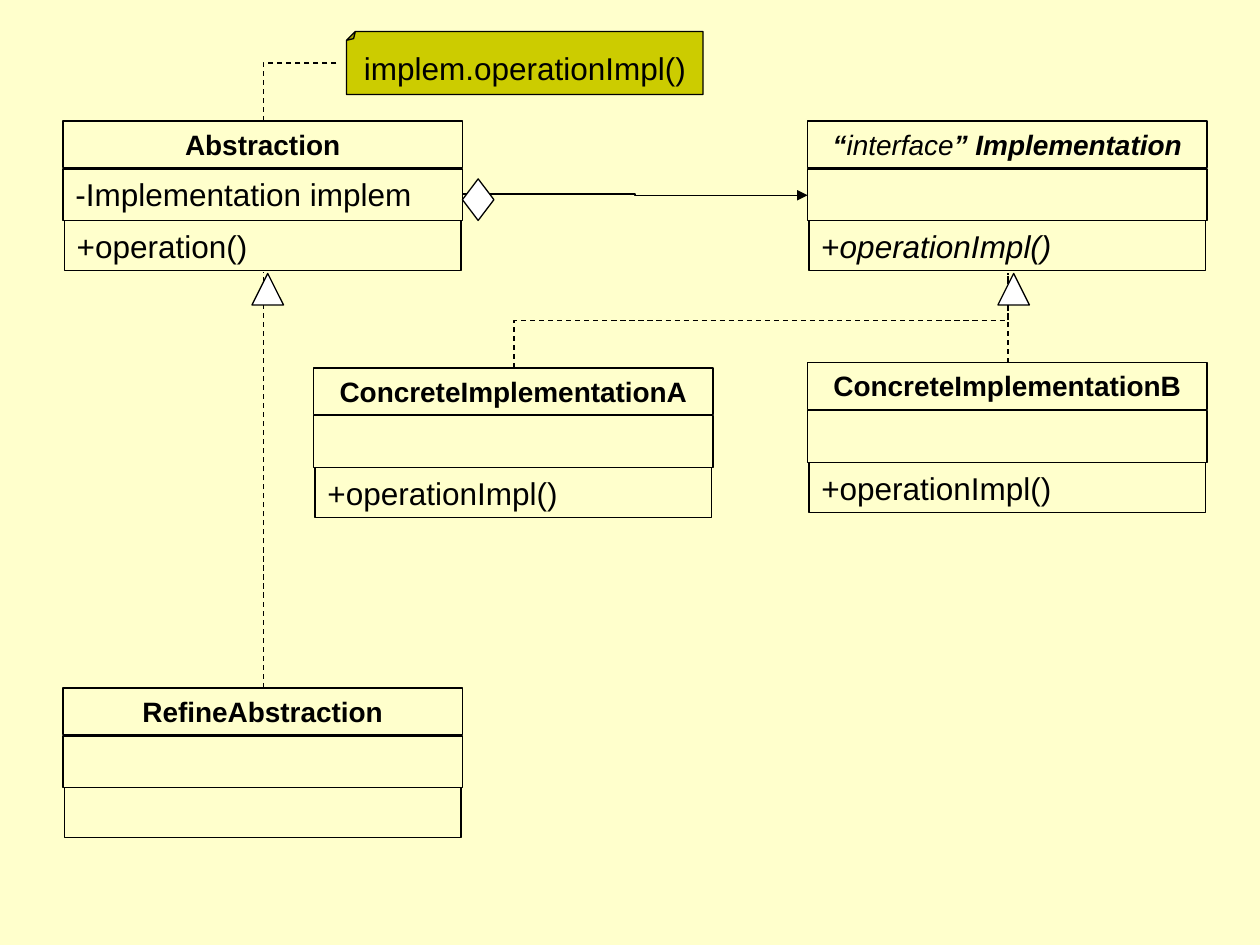
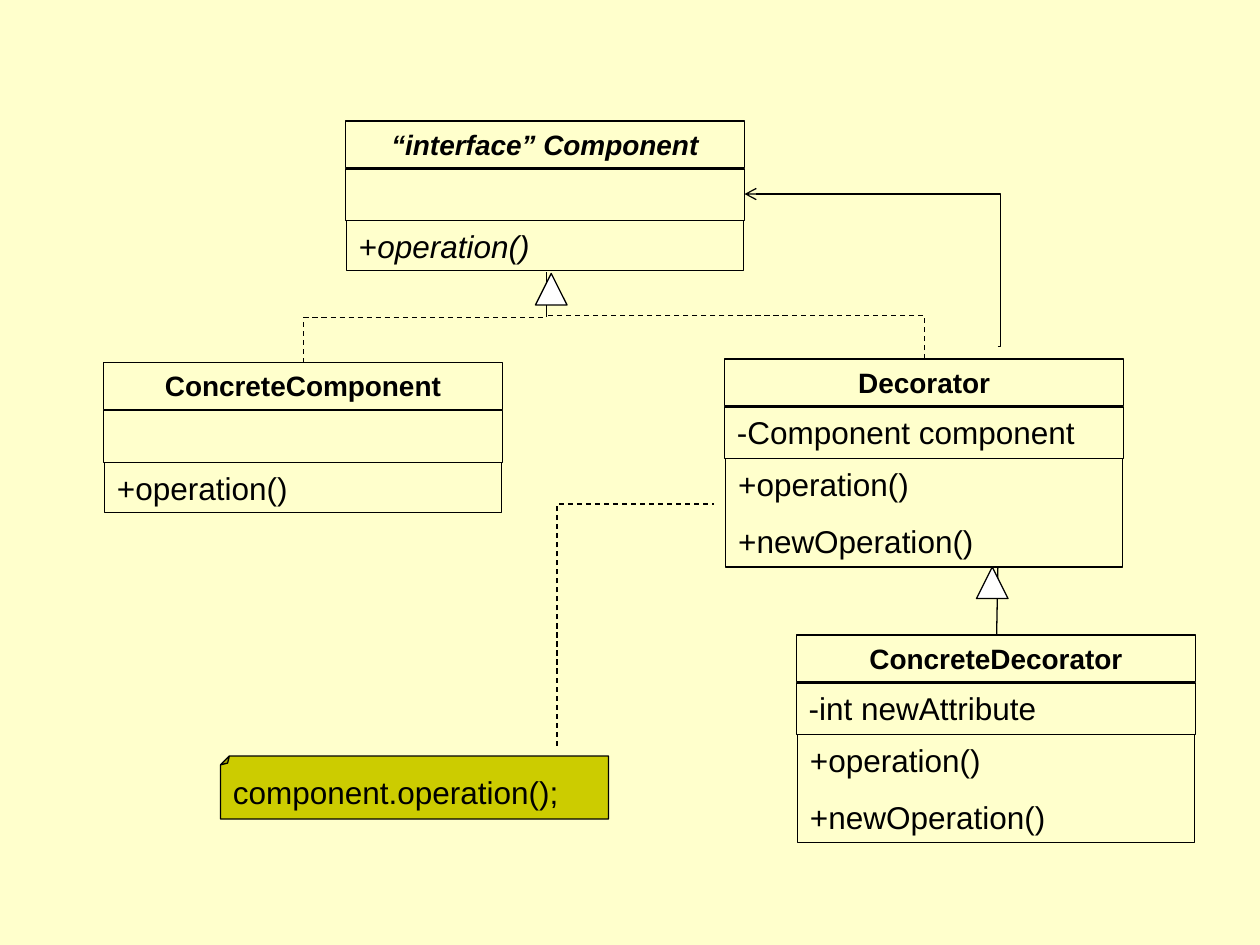
from lxml.etree import SubElement
from pptx import Presentation
from pptx.dml.color import RGBColor
from pptx.enum.dml import MSO_LINE
from pptx.enum.shapes import MSO_CONNECTOR, MSO_SHAPE
from pptx.enum.text import MSO_ANCHOR, MSO_AUTO_SIZE, PP_ALIGN
from pptx.oxml.ns import qn
from pptx.util import Inches, Pt

PAPER, INK, WHITE, NOTE = "FFFFCC", "000000", "FFFFFF", "CCCC00"
NAME_FONT = {"name": "Arial", "size": Pt(16), "bold": True}
MEMBER_FONT = {"name": "Arial", "size": Pt(18)}
HEAD_SIZE = 0.25


def rgb(value):
    """Turn a hex string into a colour."""
    return RGBColor.from_string(value)


def draw(slide, preset, left, top, width, height, fill=None):
    """Add a thinly outlined shape, hollow unless a fill is given."""
    shape = slide.shapes.add_shape(preset, *map(Inches, (left, top, width, height)))
    shape.shadow.inherit = False
    shape.line.color.rgb = rgb(INK)
    shape.line.width = Pt(0.75)
    if fill:
        shape.fill.solid()
        shape.fill.fore_color.rgb = rgb(fill)
    else:
        shape.fill.background()
    return shape


def set_guide(shape, guide, share):
    """Set one adjustment guide of a preset outline as a share of one."""
    guides = shape._element.spPr.find(qn("a:prstGeom")).get_or_add_avLst()
    SubElement(guides, qn("a:gd"), name=guide, fmla=f"val {round(share * 100000)}")


def write(shape, lines, font, align=PP_ALIGN.LEFT):
    """Write lines, each a string or a list of (text, extra format) runs."""
    frame = shape.text_frame
    for index, line in enumerate(lines):
        paragraph = frame.add_paragraph() if index else frame.paragraphs[0]
        paragraph.alignment = align
        paragraph.space_before = Pt(11.2 if index else 0)
        for text, extra in [(line, {})] if isinstance(line, str) else line:
            run = paragraph.add_run()
            run.text = text
            run.font.color.rgb = rgb(INK)
            for key, value in {**font, **extra}.items():
                setattr(run.font, key, value)


def class_box(slide, left, top, name, attributes=(), operations=()):
    """Draw a class as its name, attribute and operation compartments."""
    depth = 0.86 if len(operations) > 1 else 0.4
    compartments = [
        (0, 0, 3.17, 0.37, [name], NAME_FONT, PP_ALIGN.CENTER),
        (0, 0.38, 3.17, 0.41, attributes, MEMBER_FONT, PP_ALIGN.LEFT),
        (0.01, 0.79, 3.15, depth, operations, MEMBER_FONT, PP_ALIGN.LEFT),
    ]
    for dx, dy, width, height, lines, font, align in compartments:
        part = draw(slide, MSO_SHAPE.RECTANGLE, left + dx, top + dy, width, height)
        part.text_frame.vertical_anchor = MSO_ANCHOR.TOP
        if lines:
            write(part, lines, font, align)
            part.text_frame.auto_size = MSO_AUTO_SIZE.SHAPE_TO_FIT_TEXT


def note(slide, left, top, width, text, align):
    """Draw a note whose folded corner is at the top left."""
    sheet = draw(slide, MSO_SHAPE.FOLDED_CORNER, left, top, width, 0.5, NOTE)
    sheet.rotation = 180
    set_guide(sheet, "adj", 0.14)
    frame = sheet.text_frame
    frame.word_wrap = False
    frame.vertical_anchor = MSO_ANCHOR.MIDDLE
    frame._txBody.bodyPr.set("rot", str(180 * 60000))
    write(sheet, [text], MEMBER_FONT, align)


def link(slide, start, end, kind=MSO_CONNECTOR.STRAIGHT, dashed=False, head=None):
    """Join two points with a thin line."""
    line = slide.shapes.add_connector(kind, *map(Inches, (*start, *end)))
    line.line.color.rgb = rgb(INK)
    line.line.width = Pt(0.75)
    if dashed:
        line.line.dash_style = MSO_LINE.DASH
    if head:
        SubElement(line.line._get_or_add_ln(), qn("a:tailEnd"), type=head)
    SubElement(line._element.spPr, qn("a:effectLst"))
    return line


def elbow(slide, start, end, bend=0.5, upright=False, **style):
    """Join two points with a bent line; an upright one leaves vertically."""
    if upright:
        (x1, y1), (x2, y2) = start, end
        x, y, dx, dy = (x1 + x2) / 2, (y1 + y2) / 2, (x2 - x1) / 2, (y2 - y1) / 2
        start, end = (x - dy, y + dx), (x + dy, y - dx)
    line = link(slide, start, end, MSO_CONNECTOR.ELBOW, **style)
    if upright:
        line._element.spPr.find(qn("a:xfrm")).set("rot", str(90 * 60000))
    set_guide(line, "adj1", bend)


def inheritance_head(slide, left, top):
    """Draw the hollow triangle under a parent class."""
    draw(slide, MSO_SHAPE.ISOSCELES_TRIANGLE, left, top, HEAD_SIZE, HEAD_SIZE, WHITE)


def bridge_slide(slide):
    """Draw the class diagram of the bridge pattern."""
    italic = {"italic": True}
    interface = [("“", italic), ("interface", {"italic": True, "bold": False}),
                 ("” Implementation", italic)]
    class_box(slide, 0.5, 0.96, "Abstraction", ["-Implementation implem"], ["+operation()"])
    class_box(slide, 6.41, 0.96, interface, (), [[("+", {}), ("operationImpl()", italic)]])
    class_box(slide, 0.5, 5.46, "RefineAbstraction")
    class_box(slide, 2.49, 2.92, "ConcreteImplementationA", (), ["+operationImpl()"])
    class_box(slide, 6.41, 2.88, "ConcreteImplementationB", (), ["+operationImpl()"])
    elbow(slide, (4.08, 2.92), (8, 2.17), upright=True, dashed=True)
    link(slide, (8, 2.88), (8, 2.17), dashed=True)
    link(slide, (2.09, 5.46), (2.09, 2.16), dashed=True)
    elbow(slide, (3.67, 1.54), (6.41, 1.55), head="triangle")
    draw(slide, MSO_SHAPE.FLOWCHART_DECISION, 3.67, 1.42, 0.25, 0.33, WHITE)
    for left in (2, 7.92):
        inheritance_head(slide, left, 2.17)
    note(slide, 2.75, 0.25, 2.83, "implem.operationImpl()", PP_ALIGN.CENTER)
    elbow(slide, (2.67, 0.5), (2.09, 0.96), bend=1, dashed=True)


def decorator_slide(slide):
    """Draw the class diagram of the decorator pattern."""
    italic = {"italic": True}
    operations = ["+operation()", "+newOperation()"]
    class_box(slide, 2.74, 0.96, [("“interface” Component", italic)], (),
              [[("+", {}), ("operation()", italic)]])
    class_box(slide, 0.82, 2.88, "ConcreteComponent", (), operations[:1])
    class_box(slide, 5.75, 2.85, "Decorator", ["-Component component"], operations)
    class_box(slide, 6.32, 5.04, "ConcreteDecorator", ["-int newAttribute"], operations)
    for child in ((2.41, 2.88), (7.34, 2.85)):
        elbow(slide, child, (4.34, 2.16), upright=True, dashed=True)
    elbow(slide, (7.92, 2.75), (5.91, 1.54), bend=-0.01, head="arrow")
    link(slide, (7.91, 5.04), (7.92, 4.5))
    inheritance_head(slide, 4.25, 2.17)
    inheritance_head(slide, 7.75, 4.5)
    note(slide, 1.75, 6, 3.08, "component.operation();", PP_ALIGN.LEFT)
    elbow(slide, (4.42, 5.92), (5.67, 4), bend=1, upright=True, dashed=True)


def main():
    """Build and save the two diagrams."""
    deck = Presentation()
    deck.slide_width, deck.slide_height = Inches(10), Inches(7.5)
    paper = deck.slide_master.background.fill
    paper.solid()
    paper.fore_color.rgb = rgb(PAPER)
    blank = deck.slide_layouts[6]
    for build in (bridge_slide, decorator_slide):
        build(deck.slides.add_slide(blank))
    deck.save("out.pptx")


if __name__ == "__main__":
    main()
